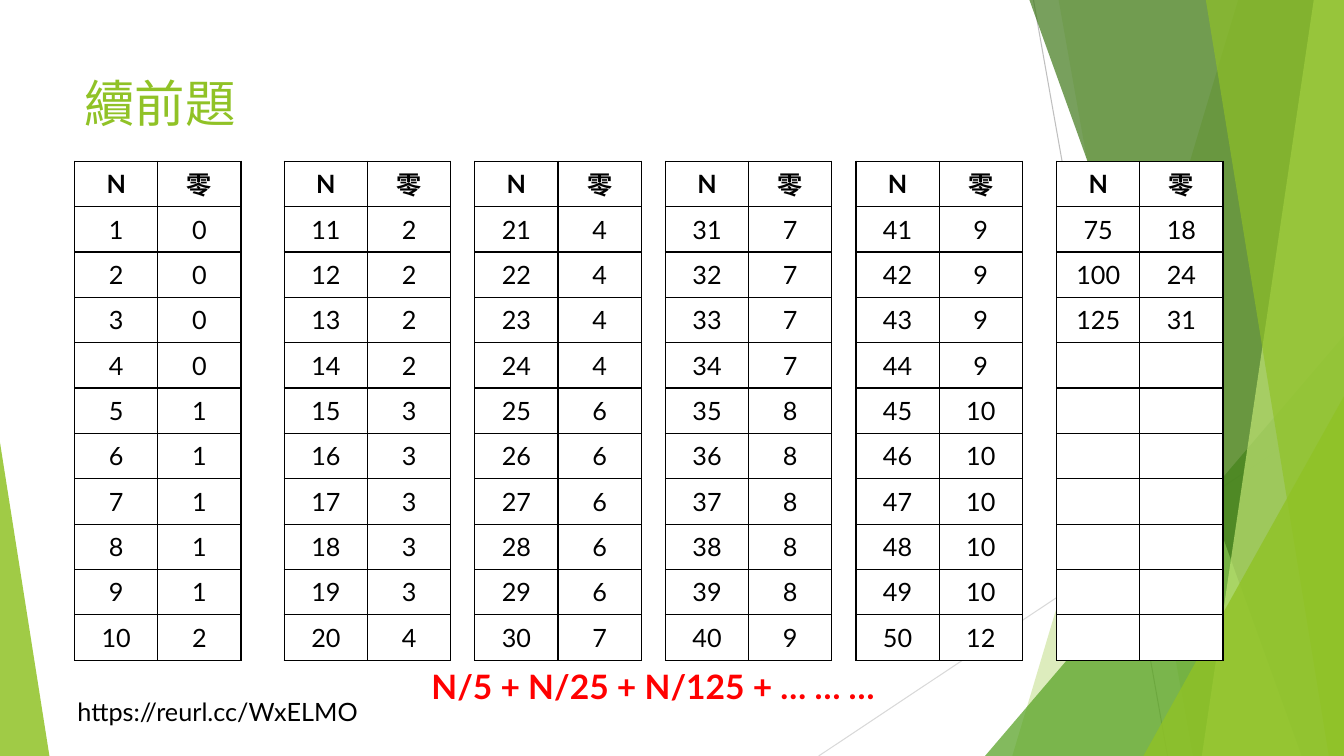
from dataclasses import dataclass

from lxml import etree
from pptx import Presentation
from pptx.dml.color import RGBColor
from pptx.enum import shapes, text
from pptx.oxml import ns
from pptx.util import Inches, Pt


@dataclass(frozen=True)
class Theme:
    font: str = "Lato"
    lime: str = "90C226"
    green: str = "54A021"
    forest: str = "3F7819"
    pale: str = "C0E474"
    black: str = "000000"
    white: str = "FFFFFF"
    red: str = "FF0000"
    gray: str = "BFBFBF"
    light_gray: str = "D9D9D9"
    title_size: int = 36
    formula_size: int = 24
    body_size: int = 18
    hairline: float = 0.75
    border: int = 1


@dataclass(frozen=True)
class Ray:
    start: tuple[float, float]
    end: tuple[float, float]
    color: str


@dataclass(frozen=True)
class Panel:
    top_x: float
    bottom_x: float
    color: str
    opacity: int


@dataclass(frozen=True)
class Spike:
    left: float
    width: float
    height: float
    apex: int
    color: str
    opacity: int


@dataclass(frozen=True)
class Caption:
    words: str
    left: float
    top: float
    width: float
    height: float
    size: int
    color: str
    bold: bool = False


@dataclass(frozen=True)
class ZeroTable:
    left: float
    numbers: tuple[int, ...]


THEME = Theme()
WIDTH, HEIGHT = 13.33, 7.5
TABLE_TOP, TABLE_WIDTH, TABLE_HEIGHT = 1.6, 1.65, 4.95
ROWS, COLUMNS = 11, 2
HEADERS = ("N", "零")

RAYS = (
    Ray((10.25, 0), (11.58, HEIGHT), THEME.gray),
    Ray((WIDTH, 4.03), (8.12, HEIGHT), THEME.light_gray),
)
FACETS = (
    Panel(12.28, 10.04, THEME.lime, 30),
    Panel(10.5, 11.83, THEME.lime, 20),
    Spike(9.77, 3.56, 4.17, 1, THEME.green, 72),
    Panel(10.21, 12.91, THEME.forest, 70),
    Panel(13.03, 11.92, THEME.pale, 70),
    Panel(11.96, 13.18, THEME.lime, 65),
    Spike(11.34, 1.99, 3.57, 1, THEME.lime, 80),
    Spike(0, 0.49, 3.11, 0, THEME.lime, 85),
)
CAPTIONS = (
    Caption("https://reurl.cc/WxELMO", 0.67, 6.86, 3.12, 0.4, THEME.body_size, THEME.black),
    Caption("續前題", 0.74, 0.67, 9.4, 1.44, THEME.title_size, THEME.lime),
    Caption("N/5 + N/25 + N/125 + … … …", 4.18, 6.56, 4.61, 0.5,
            THEME.formula_size, THEME.red, True),
)
TABLES = (
    ZeroTable(0.74, tuple(range(1, 11))),
    *(ZeroTable(2.82 + 1.89 * index, tuple(range(first, first + 10)))
      for index, first in enumerate(range(11, 51, 10))),
    ZeroTable(10.48, (75, 100, 125)),
)


def trailing_zeros(number: int) -> int:
    return number // 5 + trailing_zeros(number // 5) if number else 0


def draw_ray(page, ray: Ray) -> None:
    points = [Inches(value) for value in (*ray.start, *ray.end)]
    line = page.shapes.add_connector(shapes.MSO_CONNECTOR.STRAIGHT, *points)
    line.line.color.rgb = RGBColor.from_string(ray.color)
    line.line.width = Pt(THEME.hairline)
    etree.SubElement(line._element.spPr, ns.qn("a:effectLst"))


def draw_facet(page, facet: Panel | Spike) -> None:
    if isinstance(facet, Panel):
        corners = [(Inches(x), Inches(y)) for x, y in (
            (facet.top_x, 0), (WIDTH, 0), (WIDTH, HEIGHT), (facet.bottom_x, HEIGHT))]
        builder = page.shapes.build_freeform(*corners[0])
        builder.add_line_segments(corners[1:], close=True)
        shape = builder.convert_to_shape()
    else:
        shape = page.shapes.add_shape(
            shapes.MSO_SHAPE.ISOSCELES_TRIANGLE, Inches(facet.left),
            Inches(HEIGHT - facet.height), Inches(facet.width), Inches(facet.height))
        shape.adjustments[0] = facet.apex
    shape.shadow.inherit = False
    shape.line.fill.background()
    shape.fill.solid()
    shape.fill.fore_color.rgb = RGBColor.from_string(facet.color)
    color = shape._element.spPr.find(ns.qn("a:solidFill"))[0]
    etree.SubElement(color, ns.qn("a:alpha"), val=str(facet.opacity * 1000))


def write(para, words: str, size: int, color: str, bold: bool) -> None:
    span = para.add_run()
    span.text = words
    span.font.color.rgb = RGBColor.from_string(color)
    for name, value in {"name": THEME.font, "size": Pt(size), "bold": bold}.items():
        setattr(span.font, name, value)


def draw_caption(page, caption: Caption) -> None:
    box = page.shapes.add_textbox(Inches(caption.left), Inches(caption.top),
                                  Inches(caption.width), Inches(caption.height))
    box.text_frame.word_wrap = False
    box.text_frame.auto_size = text.MSO_AUTO_SIZE.SHAPE_TO_FIT_TEXT
    if caption.size == THEME.title_size:
        box.text_frame.word_wrap = True
        box.text_frame.auto_size = text.MSO_AUTO_SIZE.NONE
    write(box.text_frame.paragraphs[0], caption.words, caption.size,
          caption.color, caption.bold)


def style_cell(cell) -> None:
    properties = cell._tc.get_or_add_tcPr()
    for side in ("lnL", "lnR", "lnT", "lnB"):
        line = etree.SubElement(properties, ns.qn(f"a:{side}"), w=str(Pt(THEME.border)))
        fill = etree.SubElement(line, ns.qn("a:solidFill"))
        etree.SubElement(fill, ns.qn("a:srgbClr"), val=THEME.black)
    cell.fill.solid()
    cell.fill.fore_color.rgb = RGBColor.from_string(THEME.white)
    formats = {"vertical_anchor": text.MSO_ANCHOR.MIDDLE,
               "margin_top": Inches(0.02), "margin_bottom": Inches(0.02)}
    for name, value in formats.items():
        setattr(cell, name, value)


def draw_table(page, zero_table: ZeroTable) -> None:
    frame = page.shapes.add_table(ROWS, COLUMNS, Inches(zero_table.left), Inches(TABLE_TOP),
                                  Inches(TABLE_WIDTH), Inches(TABLE_HEIGHT))
    table = frame.table
    table.first_row = table.horz_banding = False
    for cell in table.iter_cells():
        style_cell(cell)
    lines = [HEADERS, *((str(number), str(trailing_zeros(number)))
                        for number in zero_table.numbers)]
    for row, line in enumerate(lines):
        for column, words in enumerate(line):
            para = table.cell(row, column).text_frame.paragraphs[0]
            para.alignment = text.PP_ALIGN.CENTER
            write(para, words, THEME.body_size, THEME.black, row == 0)


def main() -> None:
    deck = Presentation()
    deck.slide_width, deck.slide_height = Inches(WIDTH), Inches(HEIGHT)
    page = deck.slides.add_slide(deck.slide_layouts[6])
    for draw, items in ((draw_ray, RAYS), (draw_facet, FACETS),
                        (draw_caption, CAPTIONS), (draw_table, TABLES)):
        for item in items:
            draw(page, item)
    deck.save("out.pptx")


if __name__ == "__main__":
    main()
